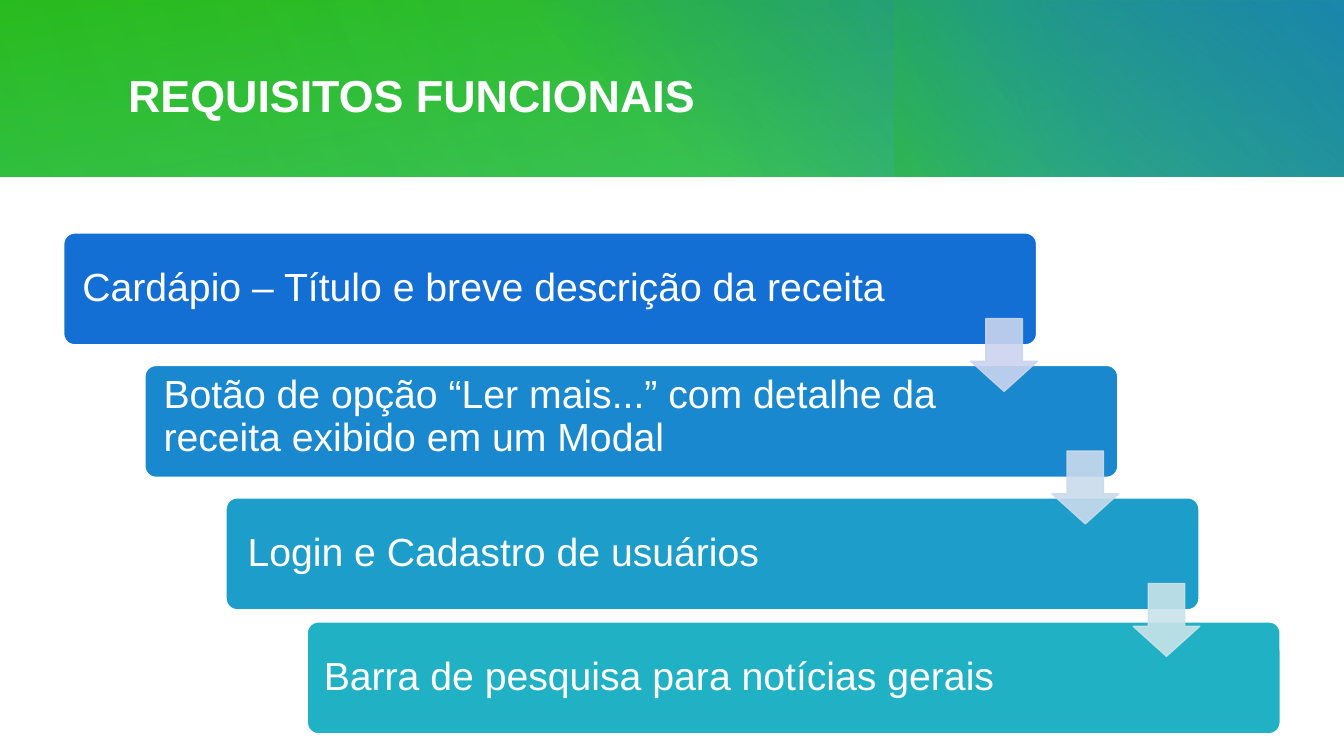
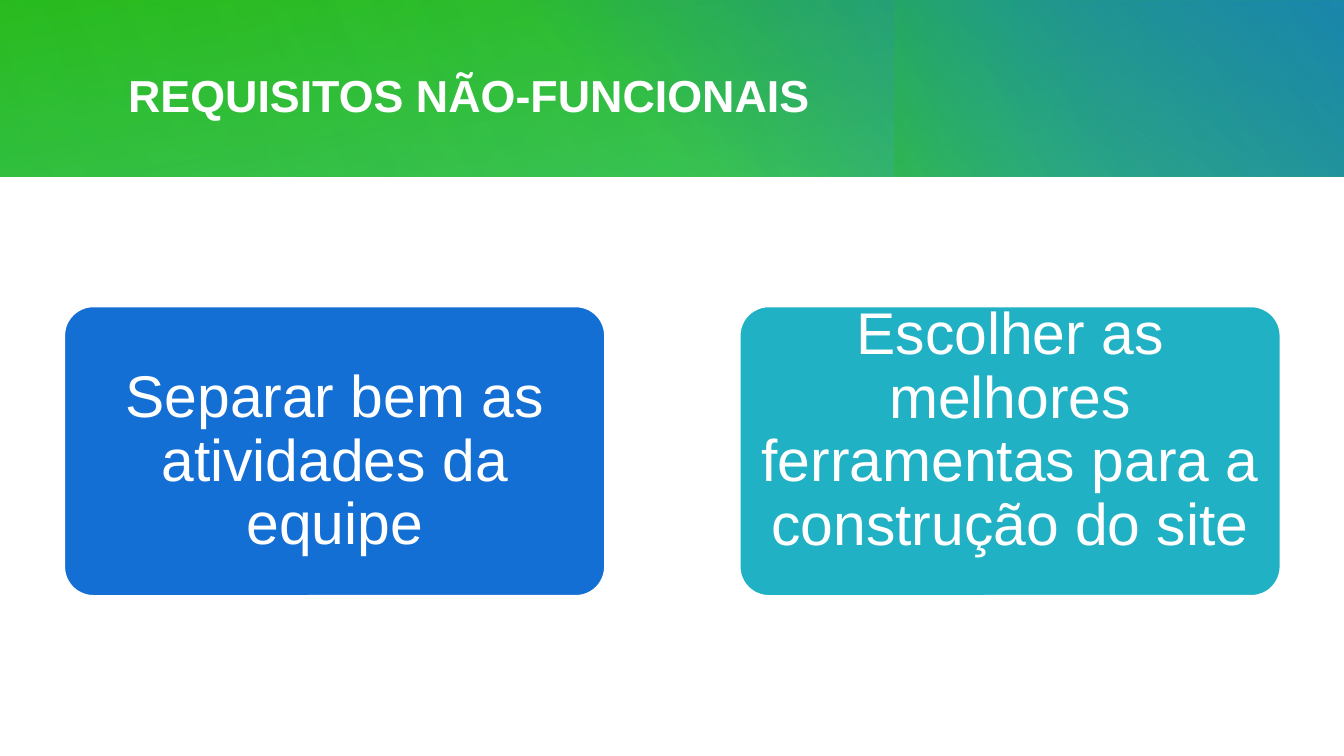
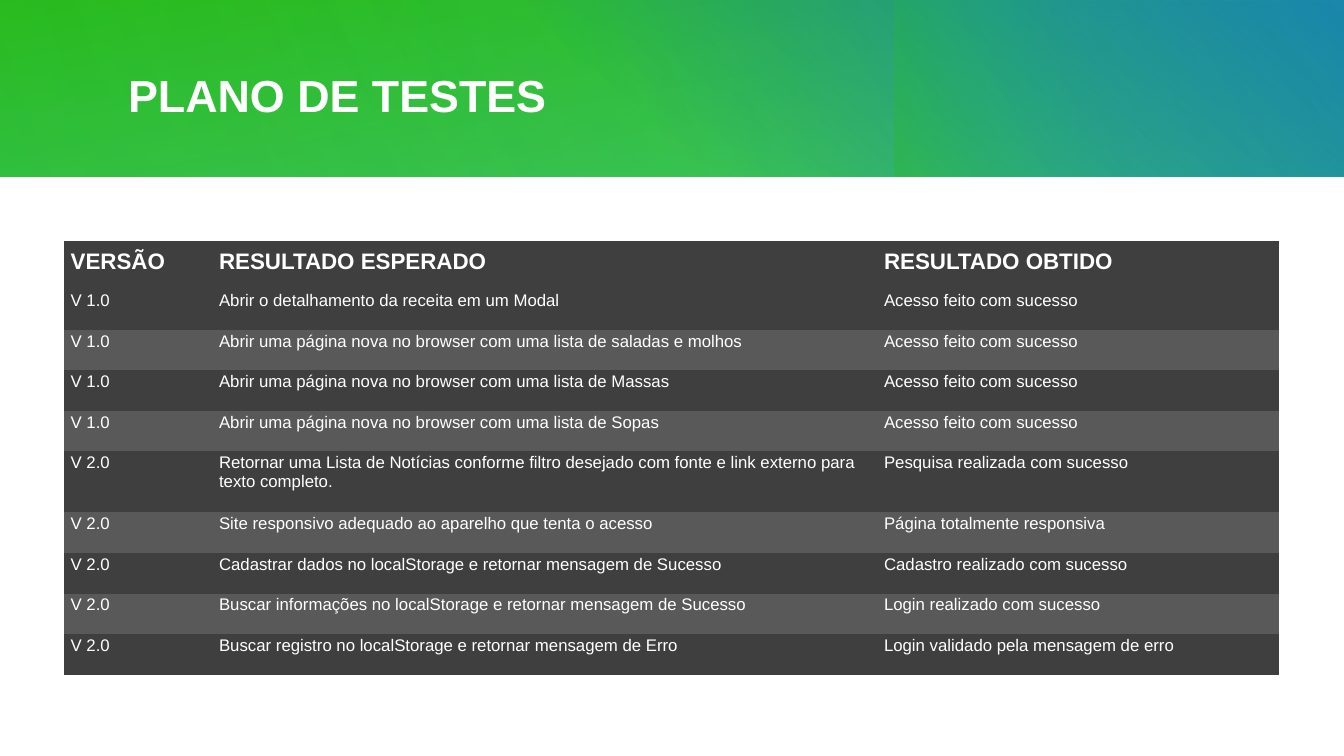
import pptx
import pptx.dml.color
import pptx.enum.shapes
import pptx.enum.text
import pptx.oxml
import pptx.oxml.ns
import pptx.util
from lxml import etree

Pt = pptx.util.Pt
RGBColor = pptx.dml.color.RGBColor
Shape = pptx.enum.shapes.MSO_SHAPE
Anchor = pptx.enum.text.MSO_ANCHOR
Align = pptx.enum.text.PP_ALIGN
qn = pptx.oxml.ns.qn

# Shared look
FONT = "Arial"
WHITE = RGBColor(0xFF, 0xFF, 0xFF)
GREEN = RGBColor(0x21, 0xBC, 0x4D)
LIME = RGBColor(0x2B, 0xBC, 0x14)
TEAL = RGBColor(0x14, 0xBA, 0x88)
BLUE = RGBColor(0x17, 0x70, 0xD5)
ROYAL = RGBColor(0x14, 0x6F, 0xD5)
AZURE = RGBColor(0x19, 0x88, 0xCF)
SKY = RGBColor(0x1D, 0x9D, 0xCA)
TURQUOISE = RGBColor(0x21, 0xB1, 0xC5)
PALE_ROYAL = RGBColor(0xCA, 0xD4, 0xEF)
PALE_AZURE = RGBColor(0xC9, 0xDB, 0xEC)
PALE_SKY = RGBColor(0xC9, 0xE3, 0xE9)
DARK_GREY = RGBColor(0x3F, 0x3F, 0x3F)
MID_GREY = RGBColor(0x59, 0x59, 0x59)

PAGE_WIDTH, PAGE_HEIGHT = 960, 540
BAND_HEIGHT = 126
CONTENT_LEFT = 45.5
NO_GRID_STYLE = "{2D5ABB26-0587-4C30-8999-92F81FD0307C}"

# Band layers: box, rotation, angle, stops of (position, colour, opacity) in percent
BAND_LAYERS = [
    ((0, 0, PAGE_WIDTH, BAND_HEIGHT), 0, 260,
     [(0, GREEN, 83), (100, LIME, 100)]),
    ((346.5, 0.5, 613.5, 125.5), 0, 310,
     [(0, BLUE, 0), (22, BLUE, 0), (99, BLUE, 100), (100, BLUE, 100)]),
    ((710.6, -71.5, BAND_HEIGHT, 269.5), 270, 250,
     [(0, TEAL, 0), (45, TEAL, 0), (99, LIME, 33), (100, LIME, 33)]),
    ((193, 0, 766.5, BAND_HEIGHT), 180, 330,
     [(0, GREEN, 30), (99, GREEN, 0), (100, GREEN, 0)]),
    ((0, 0, 623, BAND_HEIGHT), 0, 340,
     [(0, GREEN, 21), (99, GREEN, 0), (100, GREEN, 0)]),
]

# Steps: text, fill, left inset, bottom inset
STEPS = [
    ("Cardápio – Título e breve descrição da receita", ROYAL, 11, 0),
    ("Botão de opção “Ler mais...” com detalhe da receita exibido em um Modal",
     AZURE, 11, 6),
    ("Login e Cadastro de usuários", SKY, 13, 0),
    ("Barra de pesquisa para notícias gerais", TURQUOISE, 9.5, 0),
]
ARROW_COLOURS = [PALE_ROYAL, PALE_AZURE, PALE_SKY]

# Cards: text, fill, vertical offset of the text
CARDS = [
    ("Separar bem as atividades da equipe", ROYAL, 11),
    ("Escolher as melhores ferramentas para a construção do site", TURQUOISE, -11),
]

TESTS = [
    ("VERSÃO", "RESULTADO ESPERADO", "RESULTADO OBTIDO"),
    ("V 1.0", "Abrir o detalhamento da receita em um Modal", "Acesso feito com sucesso"),
    ("V 1.0", "Abrir uma página nova no browser com uma lista de saladas e molhos",
     "Acesso feito com sucesso"),
    ("V 1.0", "Abrir uma página nova no browser com uma lista de Massas",
     "Acesso feito com sucesso"),
    ("V 1.0", "Abrir uma página nova no browser com uma lista de Sopas",
     "Acesso feito com sucesso"),
    ("V 2.0", "Retornar uma Lista de Notícias conforme filtro desejado com fonte e link "
     "externo para texto completo.", "Pesquisa realizada com sucesso"),
    ("V 2.0", "Site responsivo adequado ao aparelho que tenta o acesso",
     "Página totalmente responsiva"),
    ("V 2.0", "Cadastrar dados no localStorage e retornar mensagem de Sucesso",
     "Cadastro realizado com sucesso"),
    ("V 2.0", "Buscar informações no localStorage e retornar mensagem de Sucesso",
     "Login realizado com sucesso"),
    ("V 2.0", "Buscar registro no localStorage e retornar mensagem de Erro",
     "Login validado pela mensagem de erro"),
]
COLUMN_WIDTHS = [106, 475, 287]
ROW_HEIGHTS = [34] + [29] * 4 + [43.5] + [29] * 4


def write(holder, text, size, bold=False, align=Align.LEFT, anchor=Anchor.MIDDLE,
          insets=(0, 0, 0, 0), spacing=1.0):
    """Put one formatted paragraph in a shape or a table cell."""
    frame = holder.text_frame
    frame.word_wrap = True
    # A cell keeps its own margins and anchor; a shape keeps them on its frame
    target = frame if hasattr(holder, "shape_type") else holder
    target.margin_left, target.margin_top, target.margin_right, target.margin_bottom = map(
        Pt, insets)
    target.vertical_anchor = anchor
    para = frame.paragraphs[0]
    para.alignment = align
    para.line_spacing = spacing
    span = para.add_run()
    span.text = text
    span.font.name = FONT
    span.font.size = Pt(size)
    span.font.bold = bold
    span.font.color.rgb = WHITE


def set_opacity(colour, percent):
    etree.SubElement(colour, qn("a:alpha"), val=str(percent * 1000))


def add_block(page, kind, box, fill=None, line=None, adjustments=()):
    block = page.shapes.add_shape(kind, *map(Pt, box))
    block.shadow.inherit = False
    for index, value in enumerate(adjustments):
        block.adjustments[index] = value
    if fill is not None:
        block.fill.solid()
        block.fill.fore_color.rgb = fill
    if line is None:
        block.line.fill.background()
    else:
        block.line.color.rgb = line
        block.line.width = Pt(1)
    return block


def add_text_box(page, box, text, **style):
    write(page.shapes.add_textbox(*map(Pt, box)), text, **style)


def add_gradient(page, box, rotation, angle, stops):
    layer = add_block(page, Shape.RECTANGLE, box)
    layer.rotation = rotation
    layer.fill.gradient()
    layer.fill.gradient_angle = 360 - angle
    stop_list = next(layer.element.iter(qn("a:gsLst")))
    for stop in list(stop_list):
        stop_list.remove(stop)
    for position, colour, opacity in stops:
        stop = etree.SubElement(stop_list, qn("a:gs"), pos=str(position * 1000))
        set_opacity(etree.SubElement(stop, qn("a:srgbClr"), val=str(colour)), opacity)


def add_page(deck, title):
    """Blank page with the gradient band and its title."""
    page = deck.slides.add_slide(deck.slide_layouts[6])
    for layer in BAND_LAYERS:
        add_gradient(page, *layer)
    add_text_box(page, (91.5, 29.5, 817, 76.5), title, size=32, bold=True)
    return page


def add_staircase(page, left, top):
    """Steps going down to the right, joined by arrows."""
    width, height, shift, drop, last_raise = 695, 80, 58, 94.6, 6
    for index, (text, fill, inset, bottom) in enumerate(STEPS):
        is_last = index == len(STEPS) - 1
        step_top = top + index * drop - (last_raise if is_last else 0)
        step = add_block(page, Shape.ROUNDED_RECTANGLE,
                         (left + index * shift, step_top, width, height),
                         fill, WHITE, [0.1])
        write(step, text, size=28, insets=(inset, 0, 90, bottom), spacing=0.9)
    for index, colour in enumerate(ARROW_COLOURS):
        arrow = add_block(page, Shape.DOWN_ARROW,
                          (left + 648 + index * shift, top + 61.2 + index * drop, 47.5, 52),
                          colour, colour, [0.55, 0.45])
        for node in arrow.element.spPr.iter(qn("a:srgbClr")):
            set_opacity(node, 90)


def add_cards(page, left, top):
    """Equal cards side by side."""
    width, height, pitch, text_height = 386, 206.5, 482.5, 200
    for index, (text, fill, offset) in enumerate(CARDS):
        card_left = left + index * pitch
        add_block(page, Shape.ROUNDED_RECTANGLE, (card_left, top, width, height),
                  fill, WHITE, [0.1])
        add_text_box(page, (card_left + 5.5, top + offset, width - 11, text_height), text,
                     size=42, align=Align.CENTER, insets=(6.5, 4.5, 6.5, 4.5), spacing=0.9)


def add_test_table(page, left, top):
    """Test plan with a header and banded rows."""
    holder = page.shapes.add_table(len(TESTS), len(COLUMN_WIDTHS), Pt(left), Pt(top),
                                   Pt(sum(COLUMN_WIDTHS)), Pt(sum(ROW_HEIGHTS)))
    table = holder.table
    table.first_row = table.horz_banding = False
    next(holder.element.iter(qn("a:tableStyleId"))).text = NO_GRID_STYLE
    for column, width in zip(table.columns, COLUMN_WIDTHS):
        column.width = Pt(width)
    for index, values in enumerate(TESTS):
        is_header = index == 0
        table.rows[index].height = Pt(ROW_HEIGHTS[index])
        for cell, value in zip(table.rows[index].cells, values):
            cell.fill.solid()
            cell.fill.fore_color.rgb = DARK_GREY if is_header or index % 2 else MID_GREY
            write(cell, value, size=16 if is_header else 12, bold=is_header,
                  anchor=Anchor.BOTTOM if is_header else Anchor.TOP,
                  insets=(5, 1.5, 3.5, 10.5))


def main():
    deck = pptx.Presentation()
    deck.slide_width, deck.slide_height = Pt(PAGE_WIDTH), Pt(PAGE_HEIGHT)
    add_staircase(add_page(deck, "REQUISITOS FUNCIONAIS"), CONTENT_LEFT, 166.4)
    add_cards(add_page(deck, "REQUISITOS NÃO-FUNCIONAIS"), CONTENT_LEFT + 0.5, 219)
    add_test_table(add_page(deck, "PLANO DE TESTES"), CONTENT_LEFT, 172.5)
    deck.save("out.pptx")


if __name__ == "__main__":
    main()
